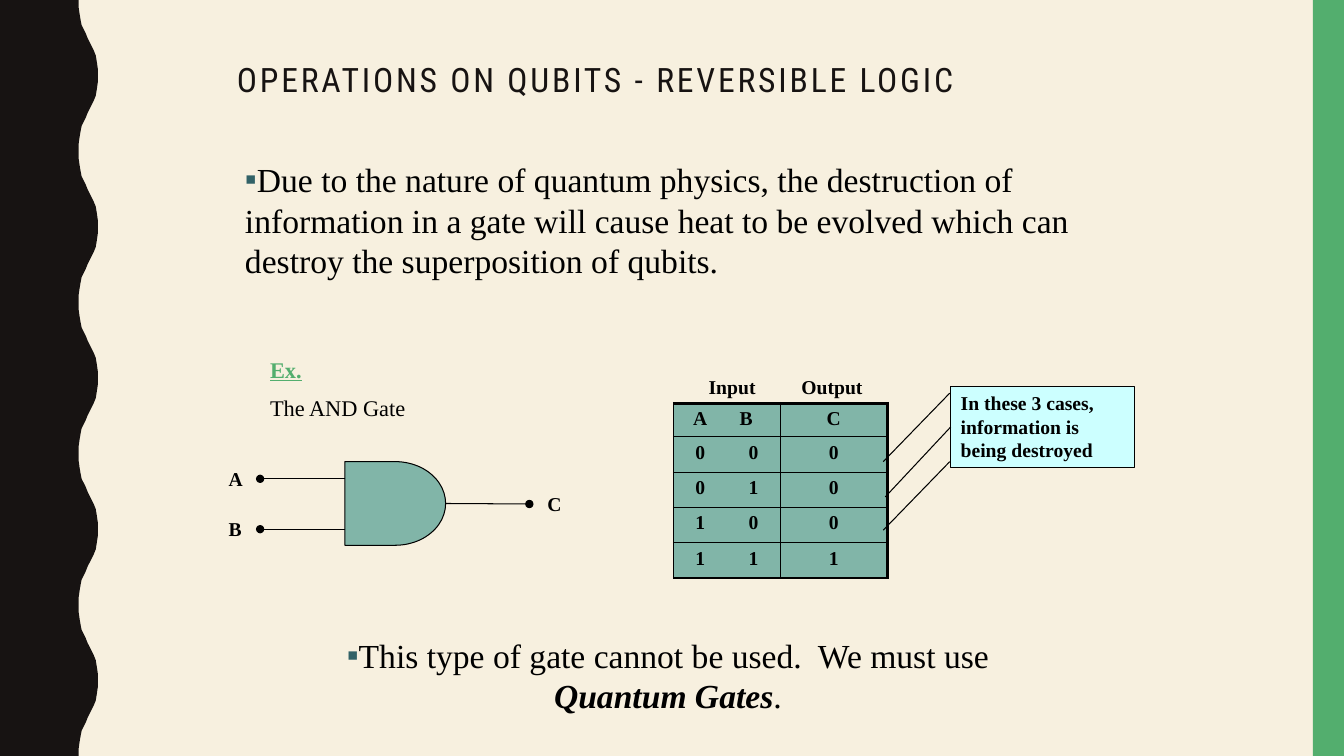
from lxml import etree
from pptx import Presentation
from pptx.dml.color import RGBColor
from pptx.enum.shapes import MSO_CONNECTOR, MSO_SHAPE
from pptx.enum.text import MSO_ANCHOR, MSO_AUTO_SIZE, PP_ALIGN
from pptx.oxml.ns import qn
from pptx.util import Inches, Pt

STRAIGHT = MSO_CONNECTOR.STRAIGHT
RECTANGLE, DELAY = MSO_SHAPE.RECTANGLE, MSO_SHAPE.FLOWCHART_DELAY
TOP = MSO_ANCHOR.TOP
GROW, FIXED = MSO_AUTO_SIZE.SHAPE_TO_FIT_TEXT, MSO_AUTO_SIZE.NONE
LEFT, CENTER = PP_ALIGN.LEFT, PP_ALIGN.CENTER
LEFT_SIDE, RIGHT_SIDE = 1, 3

CREAM, INK, GREEN, TEAL = "F7F0DF", "171312", "53AE6E", "81B5A8"
BULLET, BLACK, PALE_BLUE = "326267", "000000", "CCFFFF"
SERIF, CONDENSED = "Times New Roman", "Roboto Condensed"


def color(value):
    return RGBColor.from_string(value)


def add_xml(parent, tag, **attributes):
    return etree.SubElement(parent, qn(tag), attributes)


class SlideBuilder:
    def __init__(self, presentation):
        self.slide = presentation.slides.add_slide(presentation.slide_layouts[3])
        self.shapes = self.slide.shapes
        background = self.slide.background.fill
        background.solid()
        background.fore_color.rgb = color(CREAM)

    def place(self, shape, box):
        shape.left, shape.top, shape.width, shape.height = map(Inches, box)

    def paint(self, shape, fill, line=None):
        shape.shadow.inherit = False
        shape.fill.solid()
        shape.fill.fore_color.rgb = color(fill)
        if line:
            shape.line.color.rgb = color(line)
            shape.line.width = Pt(0.75)
        else:
            shape.line.fill.background()

    def style(self, paragraph, size, bold=False, align=LEFT, name=SERIF, tint=BLACK):
        paragraph.alignment = align
        paragraph.space_before = Pt(0)
        font = paragraph.font
        font.name, font.size, font.bold = name, Pt(size), bold
        font.color.rgb = color(tint)

    def title(self, text, box):
        title = self.shapes.title
        self.place(title, box)
        frame = title.text_frame
        frame.text, frame.auto_size = text, FIXED
        frame.vertical_anchor = TOP
        paragraph = frame.paragraphs[0]
        self.style(paragraph, 24, name=CONDENSED, tint=INK)
        paragraph.line_spacing = 0.9
        paragraph.runs[0].font._element.set("spc", "200")

    def bullet(self, index, text, box, align=LEFT):
        body = self.slide.placeholders[index]
        self.place(body, box)
        frame = body.text_frame
        frame.text, frame.auto_size = text, GROW
        paragraph = frame.paragraphs[0]
        properties = paragraph._p.get_or_add_pPr()
        properties.set("marL", "0")
        properties.set("indent", "0")
        add_xml(add_xml(properties, "a:buClr"), "a:srgbClr", val=BULLET)
        add_xml(properties, "a:buFont", typeface=SERIF)
        add_xml(properties, "a:buChar", char="▪")
        self.style(paragraph, 24, align=align)
        return paragraph

    def text(self, lines, box, size=14, bold=True):
        frame = self.shapes.add_textbox(*map(Inches, box)).text_frame
        frame.text = lines
        frame.word_wrap, frame.auto_size = True, GROW
        for paragraph in frame.paragraphs:
            self.style(paragraph, size, bold)
        return frame.paragraphs

    def block(self, kind, box, fill, line=None):
        shape = self.shapes.add_shape(kind, *map(Inches, box))
        self.paint(shape, fill, line)
        return shape

    def outline(self, points, fill):
        # Freeform points are whole numbers, so they count hundredths of an inch
        builder = self.shapes.build_freeform(scale=Inches(0.01))
        hundredths = [(round(100 * x), round(100 * y)) for x, y in points]
        builder.add_line_segments(hundredths, close=True)
        self.paint(builder.convert_to_shape(), fill)

    def line(self, start, end, dot=False):
        connector = self.shapes.add_connector(STRAIGHT, *map(Inches, start + end))
        connector.line.color.rgb = color(BLACK)
        connector.line.width = Pt(0.75)
        if dot:
            add_xml(connector.line._get_or_add_ln(), "a:tailEnd", type="oval")
        add_xml(connector._element.spPr, "a:effectLst")
        return connector

    def border(self, cell, side, width):
        line = add_xml(cell._tc.get_or_add_tcPr(), f"a:{side}", w=str(Pt(width)))
        if width:
            add_xml(add_xml(line, "a:solidFill"), "a:srgbClr", val=BLACK)
        else:
            add_xml(line, "a:noFill")

    def truth_table(self, rows, box, widths, heights):
        frame = self.shapes.add_table(len(rows), len(widths), *map(Inches, box))
        table = frame.table
        table.first_row = table.horz_banding = False
        for column, width in zip(table.columns, widths):
            column.width = Inches(width)
        for row, height in zip(table.rows, heights):
            row.height = Inches(height)
        last_row = len(rows) - 1
        for r, values in enumerate(rows):
            for c, value in enumerate(values):
                cell = table.cell(r, c)
                cell.text = value
                self.style(cell.text_frame.paragraphs[0], 14, True, CENTER)
                # The two input columns share one frame
                self.border(cell, "lnL", 0 if c == 1 else 1)
                self.border(cell, "lnR", (0, 1, 2.25)[c])
                self.border(cell, "lnT", 2.25 if r == 0 else 1)
                self.border(cell, "lnB", 2.25 if r == last_row else 1)
                cell.fill.solid()
                cell.fill.fore_color.rgb = color(TEAL)
        # The heading B sits a little left of its digits
        table.cell(0, 1).margin_right = Inches(0.25)


def main():
    presentation = Presentation()
    presentation.slide_width, presentation.slide_height = Inches(13.33), Inches(7.5)
    page = SlideBuilder(presentation)

    # Wavy left edge: five equal waves, each symmetric about its crest
    rise = [(0.78, 0), (0.78, 0.07), (0.79, 0.14), (0.8, 0.2), (0.81, 0.25),
            (0.83, 0.29), (0.85, 0.33), (0.87, 0.38), (0.89, 0.42), (0.91, 0.46),
            (0.93, 0.5), (0.95, 0.55), (0.96, 0.61), (0.97, 0.68), (0.97, 0.75)]
    wave = rise + [(x, 1.5 - y) for x, y in reversed(rise[:-1])]
    edge = [(x, y + 1.5 * step) for step in range(5) for x, y in wave]
    page.outline(edge + [(0, 7.5)], INK)
    page.block(RECTANGLE, (13.02, 0, 0.31, 7.5), GREEN)

    # Title and statements
    page.title("OPERATIONS ON QUBITS - REVERSIBLE LOGIC", (2.25, 0.58, 9, 0.5))
    page.bullet(1, "Due to the nature of quantum physics, the destruction of information "
                "in a gate will cause heat to be evolved which can destroy the "
                "superposition of qubits.", (2.33, 1.53, 8.42, 1.31))
    conclusion = page.bullet(2, "This type of gate cannot be used.  We must use ",
                             (2.75, 6.25, 7.75, 0.91), CENTER)
    emphasis = conclusion.add_run()
    emphasis.text = "Quantum Gates"
    emphasis.font.bold = emphasis.font.italic = True
    conclusion.add_run().text = "."

    # AND gate with its wires
    example, caption = page.text("Ex.\nThe AND Gate", (2.58, 3.48, 1.67, 0.77), 16, False)
    example.font.bold = example.font.underline = True
    example.font.color.rgb = color(GREEN)
    caption.space_before = Pt(8)
    gate = page.block(DELAY, (3.42, 4.58, 1, 0.83), TEAL, BLACK)
    for y in (4.75, 5.25):
        page.line((3.42, y), (2.58, y), dot=True)
    page.line((4.42, 5), (5.25, 5), dot=True).begin_connect(gate, RIGHT_SIDE)
    for name, x, y in (("A", 2.17, 4.58), ("B", 2.17, 5.08), ("C", 5.33, 4.83)):
        page.text(name, (x, y, 0.33, 0.33))

    # Truth table
    page.text("Input", (6.93, 3.67, 0.73, 0.33))
    page.text("Output", (7.85, 3.67, 0.92, 0.33))
    page.truth_table(["ABC", "000", "010", "100", "111"], (6.68, 4, 2.12, 1.73),
                     (0.53, 0.53, 1.06), [0.33] + [0.35] * 4)

    # Callout for the three lossy rows
    callout = page.block(RECTANGLE, (9.43, 3.83, 1.82, 0.81), PALE_BLUE, BLACK)
    frame = callout.text_frame
    frame.text = "In these 3 cases, information is being destroyed"
    frame.word_wrap, frame.auto_size, frame.vertical_anchor = True, GROW, TOP
    page.style(frame.paragraphs[0], 14, True)
    page.line((8.76, 4.58), (9.42, 3.9))
    page.line((8.78, 4.93), (9.43, 4.25)).end_connect(callout, LEFT_SIDE)
    page.line((8.76, 5.26), (9.42, 4.58))

    presentation.save("out.pptx")


if __name__ == "__main__":
    main()
